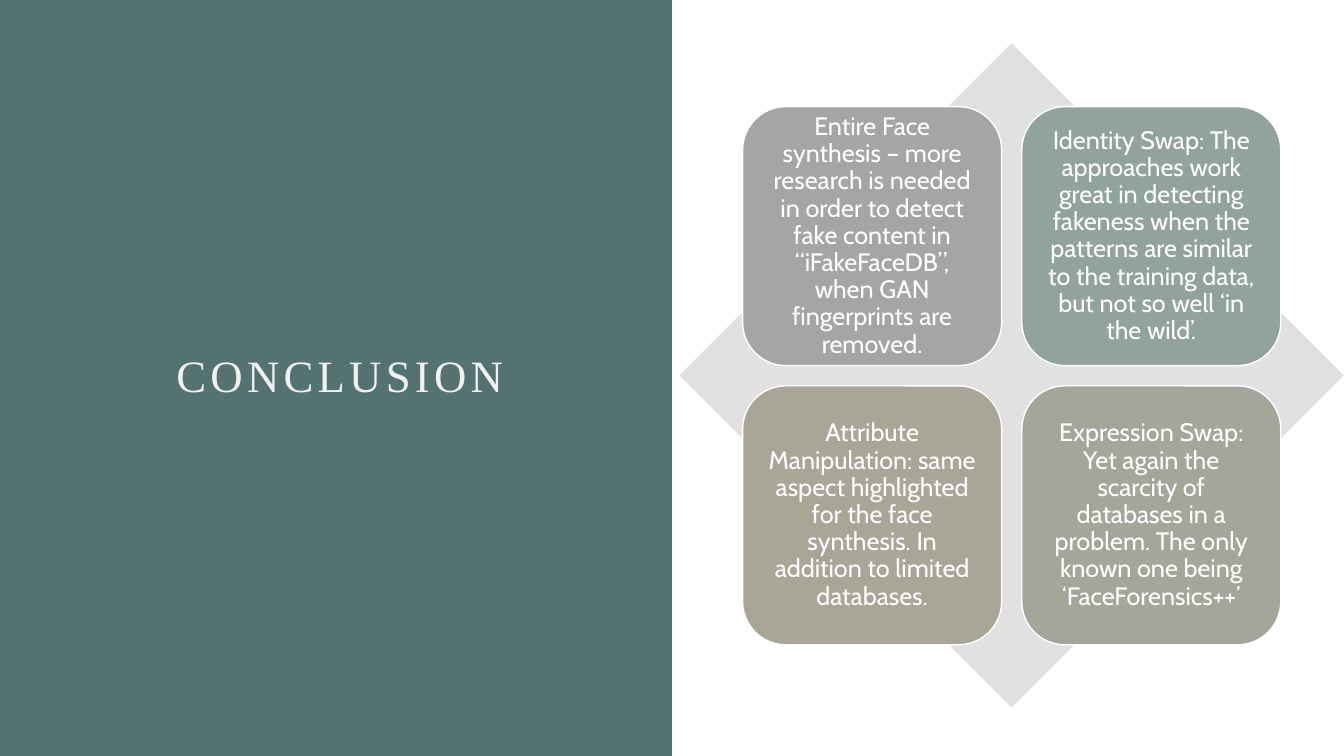
from pptx import Presentation
from pptx.dml.color import RGBColor
from pptx.enum.shapes import MSO_SHAPE
from pptx.enum.text import MSO_ANCHOR, PP_ALIGN
from pptx.util import Pt

theme = {
    "panel": "557272", "title": "EEF2F0", "diamond": "E1E1E1", "white": "FFFFFF",
    "cards": ["A5A5A5", "91A39B", "A9A698", "A2A79A"],
    "head_font": "Times New Roman", "head_size": 32,
    "body_font": "Cabin", "body_size": 18,
}

deck = Presentation()
deck.slide_width, deck.slide_height = Pt(960), Pt(540)
slide = deck.slides.add_slide(deck.slide_layouts[6])


def add_block(kind, left, top, width, height, fill):
    block = slide.shapes.add_shape(kind, Pt(left), Pt(top), Pt(width), Pt(height))
    block.shadow.inherit = False
    block.fill.solid()
    block.fill.fore_color.rgb = RGBColor.from_string(fill)
    block.line.fill.background()
    return block


def add_words(shape, words, font, size, color):
    frame = shape.text_frame
    frame.word_wrap = True
    frame.vertical_anchor = MSO_ANCHOR.MIDDLE
    para = frame.paragraphs[0]
    para.alignment = PP_ALIGN.CENTER
    para.line_spacing = 0.9
    run = para.add_run()
    run.text = words
    run.font.name = font
    run.font.size = Pt(size)
    run.font.color.rgb = RGBColor.from_string(color)
    return run


# Left panel and title
add_block(MSO_SHAPE.RECTANGLE, 0, 0, 480, 540, theme["panel"])
title = slide.shapes.add_textbox(Pt(80), Pt(54), Pt(325.5), Pt(432))
run = add_words(title, "CONCLUSION", theme["head_font"], theme["head_size"], theme["title"])
run.font._element.set("spc", "300")  # letter spacing of 3 pt

# Diamond behind the cards
add_block(MSO_SHAPE.DIAMOND, 485.3, 30.8, 474.6, 474.6, theme["diamond"])

# Two by two cards
texts = [
    "Entire Face synthesis – more research is needed in order to detect fake content in “iFakeFaceDB”, when GAN fingerprints are removed.",
    "Identity Swap: The approaches work great in detecting fakeness when the patterns are similar to the training data, but not so well ‘in the wild’.",
    "Attribute Manipulation: same aspect highlighted for the face synthesis. In addition to limited databases.",
    "Expression Swap: Yet again the scarcity of databases in a problem. The only known one being ‘FaceForensics++’",
]
side, step = 185, 199.4
for i, (words, fill) in enumerate(zip(texts, theme["cards"])):
    row, col = divmod(i, 2)
    card = add_block(MSO_SHAPE.ROUNDED_RECTANGLE, 530.5 + col * step, 76.2 + row * step,
                     side, side, fill)
    card.line.color.rgb = RGBColor.from_string(theme["white"])
    card.line.width = Pt(1)
    frame = card.text_frame
    frame.margin_left = frame.margin_right = Pt(8)
    frame.margin_top = frame.margin_bottom = Pt(5)
    add_words(card, words, theme["body_font"], theme["body_size"], theme["white"])

deck.save("out.pptx")
